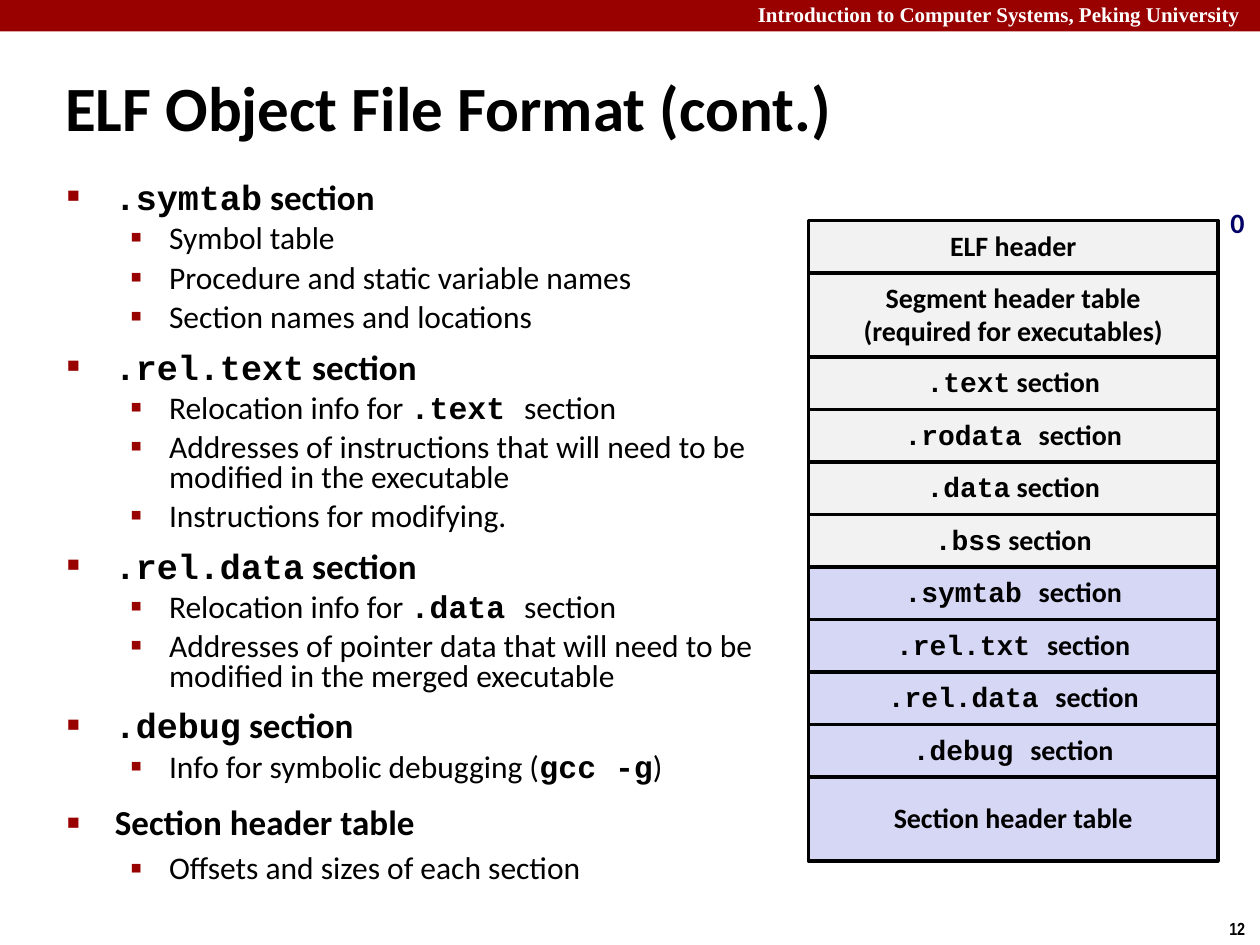
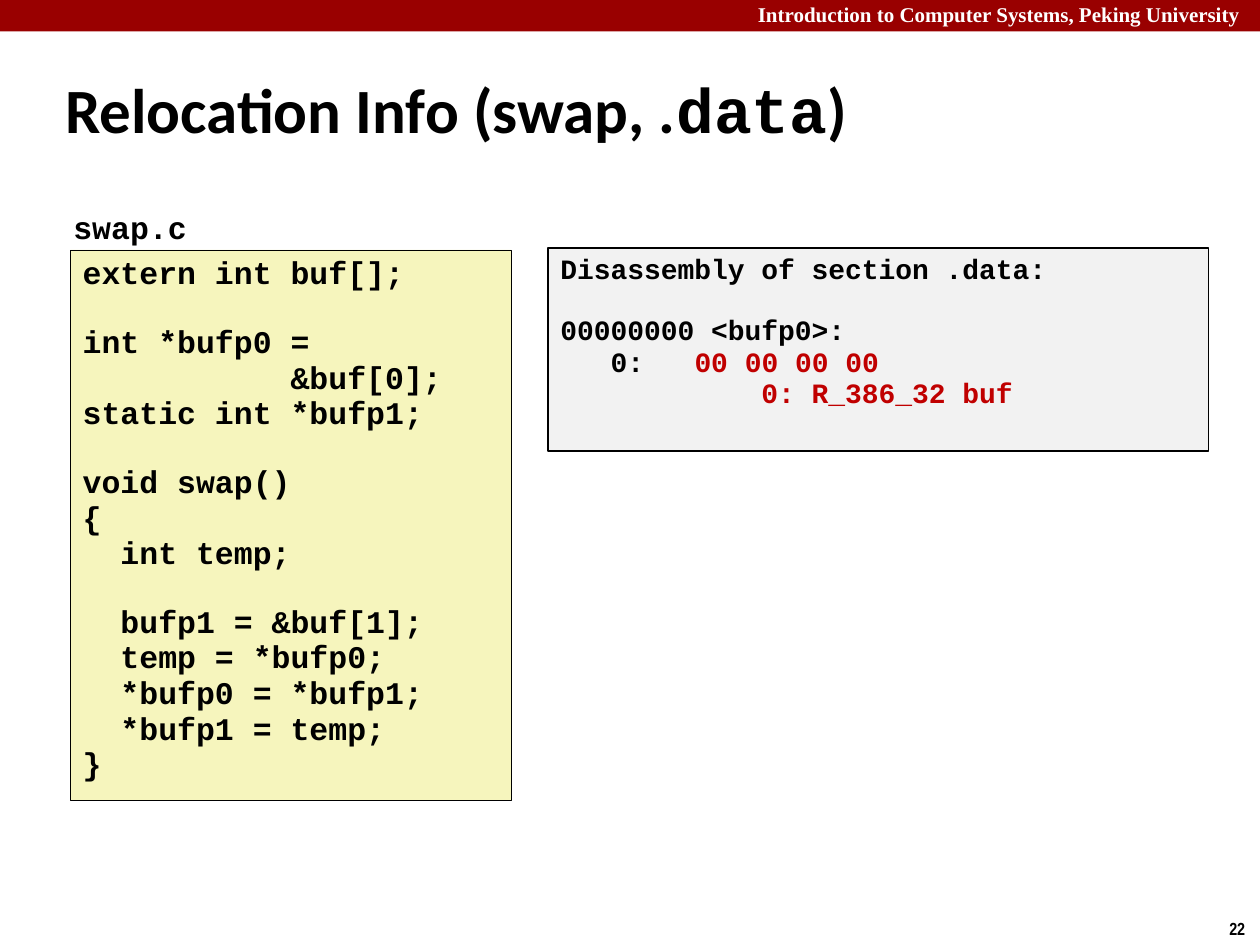
from dataclasses import dataclass, replace
from typing import NamedTuple

from lxml import etree
from pptx import Presentation
from pptx.dml.color import RGBColor
from pptx.enum.shapes import MSO_SHAPE
from pptx.enum.text import MSO_ANCHOR, MSO_AUTO_SIZE, PP_ALIGN
from pptx.oxml.ns import qn
from pptx.util import Inches, Pt

RECTANGLE = MSO_SHAPE.RECTANGLE
LEFT, CENTER = PP_ALIGN.LEFT, PP_ALIGN.CENTER
TOP, MIDDLE = MSO_ANCHOR.TOP, MSO_ANCHOR.MIDDLE
NO_AUTOFIT = MSO_AUTO_SIZE.NONE

COLORS = {
    "crimson": "990000",
    "white": "FFFFFF",
    "black": "000000",
    "navy": "000066",
    "red": "C00000",
    "gray": "F2F2F2",
    "lavender": "D6D6F5",
    "yellow": "F6F5BD",
}
SANS, MONO = "Calibri", "Courier New"
COLUMNS, ROWS = 120, 90
CELL = Inches(10) // COLUMNS
COURIER_LINE = 1.13


@dataclass(frozen=True)
class Style:
    size: float
    font: str = SANS
    color: str = "black"
    bold: bool = True


class Area(NamedTuple):
    """A rectangle in grid columns and rows."""
    column: float
    row: float
    width: float
    height: float

    def lengths(self) -> list[int]:
        return [round(value * CELL) for value in self]


class Bullet(NamedTuple):
    symbol: str
    percent: int
    indent: float
    hanging: float
    space: float
    spacing: float
    style: Style


class Section(NamedTuple):
    label: str
    fill: str
    rows: int = 5


class Listing(NamedTuple):
    area: Area
    fill: str
    line_width: float
    size: float
    code: str


TITLE = Style(36)
LABEL = Style(16)
BULLETS = [
    Bullet("■", 60, 0.38, 0.38, 12.5, 0.71, Style(20)),
    Bullet("▪", 110, 0.81, 0.31, 5.6, 0.78, Style(18, bold=False)),
]
LAST_SPACING = 0.88

# Backticks switch to the accent style and back.
TOPICS = [
    ("`.symtab` section",
     ["Symbol table", "Procedure and static variable names",
      "Section names and locations"]),
    ("`.rel.text` section",
     ["Relocation info for `.text `section",
      "Addresses of instructions that will need to be modified in the executable",
      "Instructions for modifying."]),
    ("`.rel.data` section",
     ["Relocation info for `.data `section",
      "Addresses of pointer data that will need to be modified in the merged executable"]),
    ("`.debug` section", ["Info for symbolic debugging (`gcc -g`)"]),
    ("Section header table", ["Offsets and sizes of each section"]),
]

SECTIONS = [
    Section("ELF header", "gray"),
    Section("Segment header table\n(required for executables)", "gray", 8),
    Section("`.text` section", "gray"),
    Section("`.rodata `section", "gray"),
    Section("`.data` section", "gray"),
    Section("`.bss` section", "gray"),
    Section("`.symtab `section", "lavender"),
    Section("`.rel.txt `section", "lavender"),
    Section("`.rel.data `section", "lavender"),
    Section("`.debug `section", "lavender"),
    Section("Section header table", "lavender", 8),
]

DISASSEMBLY = Listing(Area(52.2, 23.6, 62.9, 19.4), "gray", 1, 16, """\
Disassembly of section .data:

00000000 <bufp0>:
   0:   `00 00 00 00`
`            0: R_386_32 buf`""")

SWAP_SOURCE = Listing(Area(6.7, 23.8, 42, 52.4), "yellow", 0.25, 18, """\
extern int buf[];

int *bufp0 =
           &buf[0];
static int *bufp1;

void swap()
{
  int temp;

  bufp1 = &buf[1];
  temp = *bufp0;
  *bufp0 = *bufp1;
  *bufp1 = temp;
}""")


def rgb(name: str) -> RGBColor:
    return RGBColor.from_string(COLORS[name])


def apply_style(font, style: Style) -> None:
    font.name = style.font
    font.size = Pt(style.size)
    font.bold = style.bold
    font.color.rgb = rgb(style.color)


def write(para, text: str, style: Style, accent: Style | None = None) -> None:
    """Fill a paragraph; pieces between backticks take the accent style."""
    accent = accent or replace(style, font=MONO, bold=True)
    apply_style(para.font, style)
    for index, piece in enumerate(text.split("`")):
        if piece:
            span = para.add_run()
            span.text = piece
            if index % 2:
                apply_style(span.font, accent)


def next_paragraph(frame):
    first = frame.paragraphs[0]
    return frame.add_paragraph() if first.runs else first


def add_text_box(page, area: Area, wrap: bool = True):
    box = page.shapes.add_textbox(*area.lengths())
    box.text_frame.word_wrap = wrap
    return box.text_frame


def add_label(page, area: Area, text: str, style: Style, wrap: bool = False) -> None:
    write(add_text_box(page, area, wrap).paragraphs[0], text, style)


def add_box(page, area: Area, fill: str, line_width: float = 0, anchor=MIDDLE):
    box = page.shapes.add_shape(RECTANGLE, *area.lengths())
    box.shadow.inherit = False
    box.fill.solid()
    box.fill.fore_color.rgb = rgb(fill)
    if line_width:
        box.line.color.rgb = rgb("black")
        box.line.width = Pt(line_width)
    else:
        box.line.fill.background()
    box.text_frame.vertical_anchor = anchor
    return box.text_frame


def add_page(deck, title: str, number: int, title_row: float, spacing: float):
    page = deck.slides.add_slide(deck.slide_layouts[5])
    add_box(page, Area(0, 0, COLUMNS, 3), "crimson")
    add_label(page, Area(71, -0.4, 49, 3.6),
              "Introduction to Computer Systems, Peking University",
              Style(12, "Times New Roman", "white"), wrap=True)
    add_label(page, Area(115.9, 86.8, 4.1, 3.2), str(number), Style(10, "Arial Narrow"))
    heading = page.shapes.title
    heading.left, heading.top, heading.width, heading.height = Area(
        5, title_row, 114.4, 10.3).lengths()
    frame = heading.text_frame
    frame.auto_size = NO_AUTOFIT
    frame.vertical_anchor = MIDDLE
    para = frame.paragraphs[0]
    para.alignment = LEFT
    para.line_spacing = spacing
    write(para, title, TITLE)
    return page


def set_bullet(para, bullet: Bullet) -> None:
    properties = para._p.get_or_add_pPr()
    properties.set("marL", str(Inches(bullet.indent)))
    properties.set("indent", str(-Inches(bullet.hanging)))
    color = etree.SubElement(properties, qn("a:buClr"))
    etree.SubElement(color, qn("a:srgbClr"), val=COLORS["crimson"])
    etree.SubElement(properties, qn("a:buSzPct"), val=str(bullet.percent * 1000))
    etree.SubElement(properties, qn("a:buFont"), typeface="Arial")
    etree.SubElement(properties, qn("a:buChar"), char=bullet.symbol)


def add_topics(page) -> None:
    frame = add_text_box(page, Area(5.2, 17.2, 69.2, 71.8))
    for topic, details in TOPICS:
        for level, text in enumerate([topic, *details]):
            bullet = BULLETS[min(level, 1)]
            para = next_paragraph(frame)
            if para is not frame.paragraphs[0] and len(frame.paragraphs) > 1:
                para.space_before = Pt(bullet.space)
            para.level = min(level, 1)
            is_last = topic == TOPICS[-1][0]
            para.line_spacing = LAST_SPACING if is_last else bullet.spacing
            set_bullet(para, bullet)
            write(para, text, bullet.style)


def add_section_stack(page) -> None:
    row = 21
    for section in SECTIONS:
        frame = add_box(page, Area(77, row, 39, section.rows), section.fill, 2)
        frame.word_wrap = False
        for line in section.label.split("\n"):
            para = next_paragraph(frame)
            para.alignment = CENTER
            para.line_spacing = 0.94 if "`" in line else 0.98
            write(para, line, LABEL)
        row += section.rows
    add_label(page, Area(116, 19, 3.7, 4.4), "0", replace(LABEL, color="navy"))


def add_listing(page, listing: Listing) -> None:
    """Draw a code box; an empty code line becomes space before the next one."""
    style = Style(listing.size, MONO)
    spacing = 0.94
    frame = add_box(page, listing.area, listing.fill, listing.line_width, TOP)
    frame.word_wrap = True
    after_gap = False
    for line in listing.code.split("\n"):
        if line:
            para = next_paragraph(frame)
            para.alignment = LEFT
            para.line_spacing = spacing
            if after_gap:
                para.space_before = Pt(round(listing.size * COURIER_LINE * spacing, 1))
            write(para, line, style, replace(style, color="red"))
        after_gap = not line


def main() -> None:
    deck = Presentation()
    deck.slide_width, deck.slide_height = COLUMNS * CELL, ROWS * CELL

    format_page = add_page(deck, "ELF Object File Format (cont.)", 12, 5, 1.0)
    add_topics(format_page)
    add_section_stack(format_page)

    relocation_page = add_page(deck, "Relocation Info (swap, .`data`)", 22, 5.8, 0.82)
    add_listing(relocation_page, DISASSEMBLY)
    add_listing(relocation_page, SWAP_SOURCE)
    add_label(relocation_page, Area(5.8, 19.2, 13.3, 4.8), "swap.c", Style(18, MONO))

    deck.save("out.pptx")


if __name__ == "__main__":
    main()
